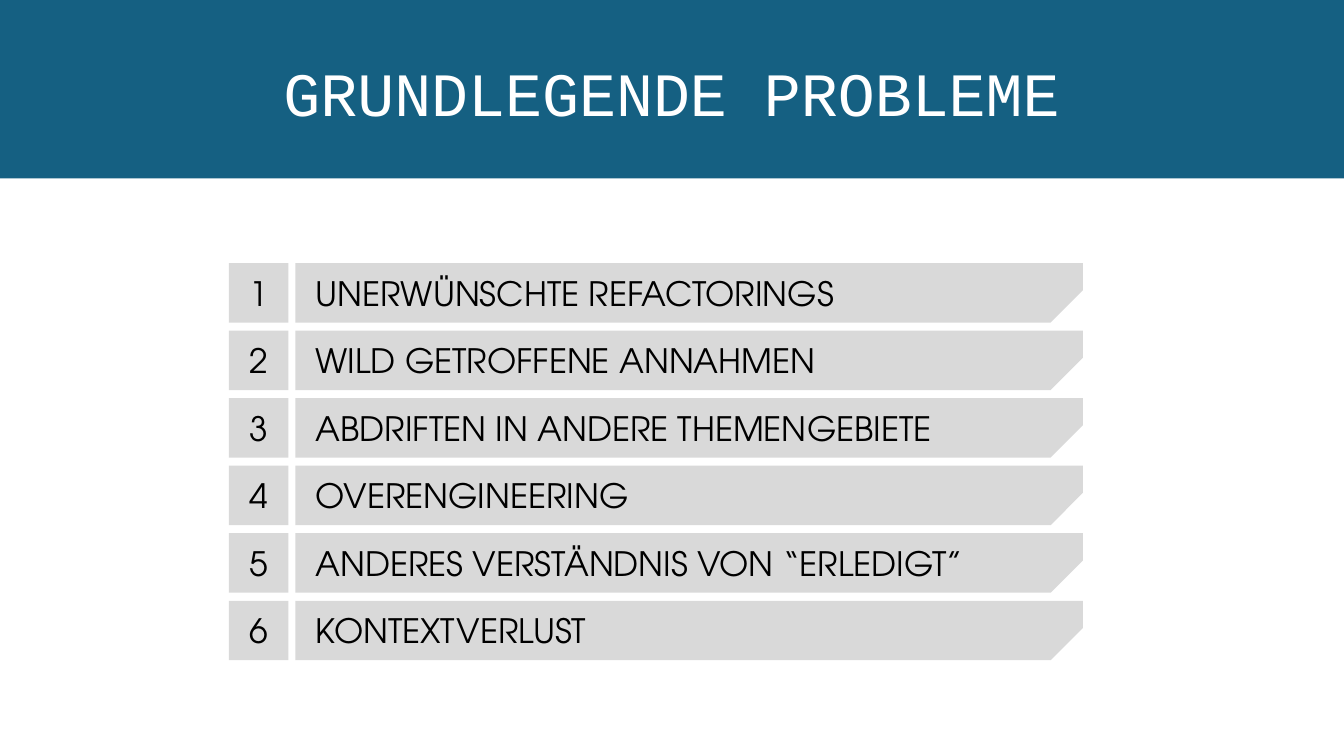
from dataclasses import dataclass

import pptx
import pptx.dml.color
import pptx.enum.shapes
import pptx.enum.text
import pptx.util

Inches = pptx.util.Inches
Align = pptx.enum.text.PP_ALIGN


@dataclass(frozen=True)
class Theme:
    band: str = "156082"
    bar: str = "D9D9D9"
    ink: str = "000000"
    light: str = "FFFFFF"
    head_font: str = "Courier New"
    body_font: str = "TeX Gyre Adventor"
    head_size: int = 44
    body_size: int = 24


THEME = Theme()
TITLE = "GRUNDLEGENDE PROBLEME"
ITEMS = [
    "UNERWÜNSCHTE REFACTORINGS",
    "WILD GETROFFENE ANNAHMEN",
    "ABDRIFTEN IN ANDERE THEMENGEBIETE",
    "OVERENGINEERING",
    "ANDERES VERSTÄNDNIS VON “ERLEDIGT”",
    "KONTEXTVERLUST",
]
WIDTH, HEIGHT = 13.33, 7.5
TOP, PITCH, SIDE = 2.61, 0.67, 0.59
NUM_LEFT, BAR_LEFT, BAR_RIGHT = 2.27, 2.93, 10.74
CUT = 0.32


def rgb(code):
    return pptx.dml.color.RGBColor.from_string(code)


def paint(shape, color):
    """Give the shape a plain fill with no line or shadow."""
    shape.fill.solid()
    shape.fill.fore_color.rgb = rgb(color)
    shape.line.fill.background()
    shape.shadow.inherit = False


def write(shape, text, *, font=THEME.body_font, size=THEME.body_size,
          color=THEME.ink, align=Align.LEFT, inset=(0, 0), spacing=None):
    """Set one vertically centred paragraph; inset is (sides, top and bottom)."""
    frame = shape.text_frame
    frame.word_wrap = True
    frame.vertical_anchor = pptx.enum.text.MSO_ANCHOR.MIDDLE
    frame.margin_left = frame.margin_right = Inches(inset[0])
    frame.margin_top = frame.margin_bottom = Inches(inset[1])
    para = frame.paragraphs[0]
    para.alignment = align
    para.line_spacing = spacing
    run = para.add_run()
    run.text = text
    run.font.name = font
    run.font.size = pptx.util.Pt(size)
    run.font.color.rgb = rgb(color)


def add_rect(shapes, left, top, width, height, color):
    kind = pptx.enum.shapes.MSO_SHAPE.RECTANGLE
    rect = shapes.add_shape(kind, Inches(left), Inches(top),
                            Inches(width), Inches(height))
    paint(rect, color)
    return rect


def add_bar(shapes, top):
    """Draw a bar whose lower right corner is cut off."""
    low = top + SIDE
    points = [(BAR_RIGHT, top), (BAR_RIGHT, low - CUT),
              (BAR_RIGHT - CUT, low), (BAR_LEFT, low)]
    pen = shapes.build_freeform(Inches(BAR_LEFT), Inches(top))
    pen.add_line_segments([(Inches(x), Inches(y)) for x, y in points], close=True)
    bar = pen.convert_to_shape()
    paint(bar, THEME.bar)
    return bar


def add_item(slide, index, text):
    top = TOP + index * PITCH
    shapes = slide.shapes.add_group_shape().shapes
    write(add_bar(shapes, top), text, inset=(0.2, 0.05))
    box = add_rect(shapes, NUM_LEFT, top, SIDE, SIDE, THEME.bar)
    write(box, str(index + 1), align=Align.CENTER)


def add_title(slide, text):
    add_rect(slide.shapes, 0, 0, WIDTH, 1.77, THEME.band)
    box = slide.shapes.add_textbox(0, Inches(0.23), Inches(WIDTH), Inches(1.45))
    write(box, text, font=THEME.head_font, size=THEME.head_size,
          color=THEME.light, align=Align.CENTER, inset=(0.1, 0.05), spacing=0.9)


def main():
    deck = pptx.Presentation()
    deck.slide_width, deck.slide_height = Inches(WIDTH), Inches(HEIGHT)
    slide = deck.slides.add_slide(deck.slide_layouts[6])
    for index, text in enumerate(ITEMS):
        add_item(slide, index, text)
    add_title(slide, TITLE)
    deck.save("out.pptx")


if __name__ == "__main__":
    main()
